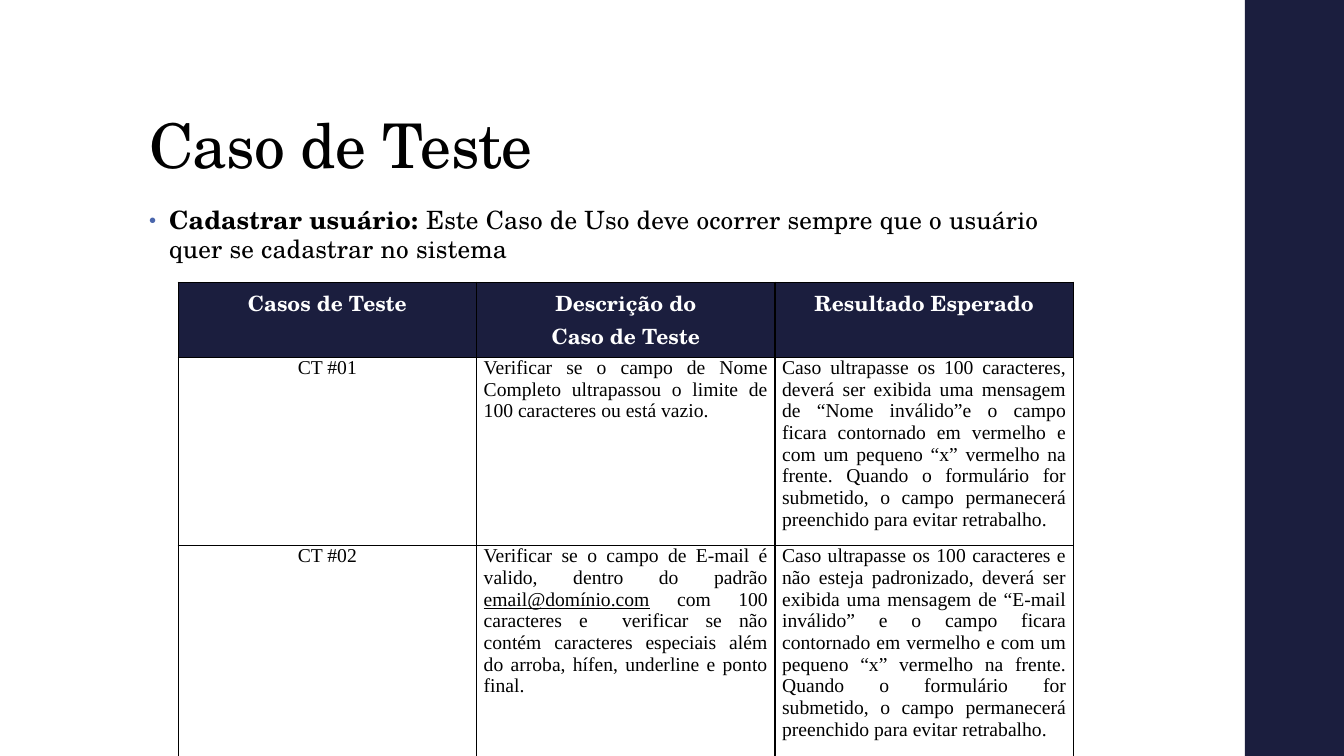
import pptx
import pptx.util
import pptx.dml.color
import pptx.enum.shapes
import pptx.enum.text
import pptx.oxml
import pptx.oxml.ns
from lxml import etree

Cm, Pt = pptx.util.Cm, pptx.util.Pt
RGBColor = pptx.dml.color.RGBColor
ALIGN = pptx.enum.text.PP_ALIGN
ANCHOR = pptx.enum.text.MSO_ANCHOR
qn = pptx.oxml.ns.qn

# Content: a paragraph is a list of (text, extra font values)
TITLE = [("Caso de Teste", {})]
INTRO = [
    ("Cadastrar usuário: ", {"bold": True}),
    ("Este Caso de Uso deve ocorrer sempre que o usuário quer se cadastrar no sistema", {}),
]
HEADER = [["Casos de Teste"], ["Descrição do", "Caso de Teste"], ["Resultado Esperado"]]
CASES = [
    (
        [("CT #01", {})],
        [("Verificar se o campo de Nome Completo ultrapassou o limite de 100 caracteres "
          "ou está vazio.", {})],
        [("Caso ultrapasse os 100 caracteres, deverá ser exibida uma mensagem de "
          "“Nome inválido”e o campo ficara contornado em vermelho e com um pequeno “x” "
          "vermelho na frente. Quando o formulário for submetido, o campo permanecerá "
          "preenchido para evitar retrabalho.", {})],
    ),
    (
        [("CT #02", {})],
        [("Verificar se o campo de E-mail é valido, dentro do padrão ", {}),
         ("email@domínio.com", {"underline": True}),
         (" com 100 caracteres e  verificar se não contém caracteres especiais além do "
          "arroba, hífen, underline e ponto final.", {})],
        [("Caso ultrapasse os 100 caracteres e não esteja padronizado, deverá ser exibida "
          "uma mensagem de “E-mail inválido” e o campo ficara contornado em vermelho e com "
          "um pequeno “x” vermelho na frente. Quando o formulário for submetido, o campo "
          "permanecerá preenchido para evitar retrabalho.", {})],
    ),
]

# Formats
NAVY = RGBColor(0x1B, 0x1E, 0x3E)
WHITE = RGBColor(0xFF, 0xFF, 0xFF)
BLACK = RGBColor(0, 0, 0)
BULLET = RGBColor(0x4A, 0x66, 0xAC)
SERIF, ROMAN = "TeX Gyre Schola", "Times New Roman"
TITLE_FONT = {"size": Pt(44), "name": SERIF}
INTRO_FONT = {"size": Pt(18), "name": SERIF, "bold": False}
HEAD_FONT = {"size": Pt(15), "name": SERIF, "bold": True}
CASE_FONT = {"size": Pt(14), "name": ROMAN, "bold": False}
CASE_ALIGN = [ALIGN.CENTER, ALIGN.JUSTIFY, ALIGN.JUSTIFY]
CASE_MARGINS = {"margin_left": Cm(0.18), "margin_right": Cm(0.18),
                "margin_top": 0, "margin_bottom": 0}

# Places, in centimetres
SLIDE_W, SLIDE_H = 33.87, 19.05
BAND_X = 31.37
TEXT_X = 3.51
TABLE_X, TABLE_Y = 4.49, 7.11
COL_W = 7.52
ROW_H = [1.89, 4.36, 4.92]


def set_all(obj, values):
    for name, value in values.items():
        setattr(obj, name, value)


def write(p, runs, font, color=BLACK, spacing=None, **layout):
    set_all(p, layout)
    for text, extra in runs:
        r = p.add_run()
        r.text = text
        set_all(r.font, {**font, **extra})
        r.font.color.rgb = color
        if spacing is not None:
            r.font._element.set("spc", str(spacing))


def add_text(s, y, w, h, anchor):
    tf = s.shapes.add_textbox(Cm(TEXT_X), Cm(y), Cm(w), Cm(h)).text_frame
    set_all(tf, {"word_wrap": True, "vertical_anchor": anchor})
    return tf.paragraphs[0]


def add_bullet(p):
    pPr = p._p.get_or_add_pPr()
    pPr.set("marL", str(Cm(0.5)))
    pPr.set("indent", str(-Cm(0.5)))
    color = etree.SubElement(pPr, qn("a:buClr"))
    etree.SubElement(color, qn("a:srgbClr"), val=str(BULLET))
    etree.SubElement(pPr, qn("a:buSzPct"), val="80000")
    etree.SubElement(pPr, qn("a:buFont"), typeface="Arial")
    etree.SubElement(pPr, qn("a:buChar"), char="•")


def style_cell(cell, color):
    tcPr = cell._tc.get_or_add_tcPr()
    for side in ("a:lnL", "a:lnR", "a:lnT", "a:lnB"):
        ln = etree.SubElement(tcPr, qn(side), w=str(Pt(1)))
        fill = etree.SubElement(ln, qn("a:solidFill"))
        etree.SubElement(fill, qn("a:srgbClr"), val=str(BLACK))
    cell.fill.solid()
    cell.fill.fore_color.rgb = color


prs = pptx.Presentation()
prs.slide_width, prs.slide_height = Cm(SLIDE_W), Cm(SLIDE_H)
s = prs.slides.add_slide(prs.slide_layouts[6])

# Side band
sp = s.shapes.add_shape(pptx.enum.shapes.MSO_SHAPE.RECTANGLE, Cm(BAND_X), 0,
                        Cm(SLIDE_W - BAND_X), Cm(SLIDE_H))
sp.shadow.inherit = False
sp.fill.solid()
sp.fill.fore_color.rgb = NAVY
sp.line.fill.background()

# Title and introduction
write(add_text(s, 1.02, 26.92, 3.68, ANCHOR.BOTTOM), TITLE, TITLE_FONT,
      spacing=-50, line_spacing=0.9)
p = add_text(s, 5.08, 23.88, 2, ANCHOR.TOP)
add_bullet(p)
write(p, INTRO, INTRO_FONT, spacing=10, line_spacing=0.95)

# Test case table
table = s.shapes.add_table(len(ROW_H), len(HEADER), Cm(TABLE_X), Cm(TABLE_Y),
                           Cm(COL_W * len(HEADER)), Cm(sum(ROW_H))).table
for column in table.columns:
    column.width = Cm(COL_W)
for row, height in zip(table.rows, ROW_H):
    row.height = Cm(height)

for c, lines in enumerate(HEADER):
    cell = table.cell(0, c)
    style_cell(cell, NAVY)
    tf = cell.text_frame
    for i, line in enumerate(lines):
        p = tf.add_paragraph() if i else tf.paragraphs[0]
        write(p, [(line, {})], HEAD_FONT, WHITE, alignment=ALIGN.CENTER)

for r, case in enumerate(CASES, 1):
    for c, runs in enumerate(case):
        cell = table.cell(r, c)
        style_cell(cell, WHITE)
        set_all(cell, CASE_MARGINS)
        write(cell.text_frame.paragraphs[0], runs, CASE_FONT, alignment=CASE_ALIGN[c])

prs.save("out.pptx")
